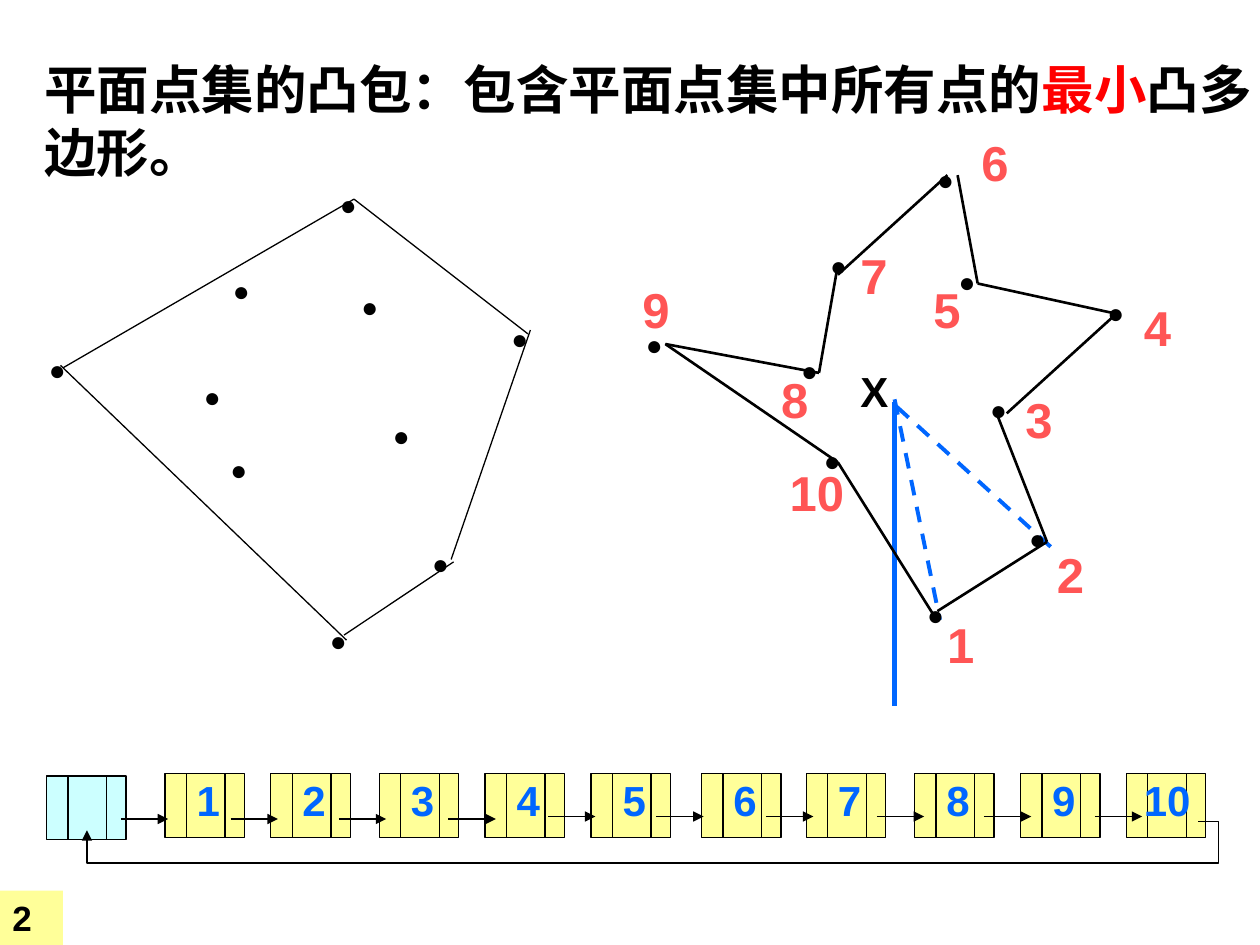
import pptx
import pptx.util
import pptx.dml.color
import pptx.enum.dml
import pptx.enum.shapes
import pptx.enum.text
import pptx.oxml
import pptx.oxml.ns

Pt = pptx.util.Pt
BLACK, RED, CORAL, BLUE = "000000", "FF0000", "FF5555", "0066FF"
YELLOW, CYAN = "FFFF99", "CCFFFF"

# Top-left corners of the dot boxes
HULL_DOTS = [
    (181.4, 352.8), (239.8, 308.9), (285.1, 180), (187.2, 103.7), (20.9, 198),
    (217.4, 235.4), (126, 152.6), (199.4, 162), (109.4, 213.1), (124.6, 254.9),
]
STAR_DOTS = [
    (362, 183.6), (450.7, 198.7), (467.3, 138.2), (528.5, 89.3), (540.7, 147.6),
    (625.7, 165.6), (522.7, 337.7), (581, 294.5), (558.7, 221), (463.7, 249.8),
]
# Label positions for star vertices 1 to 10
STAR_LABELS = [
    (534.2, 347.8), (596.9, 307.4), (578.9, 218.9), (646.6, 166.3), (526.3, 156.2),
    (553.7, 72), (484.6, 136.8), (439.2, 207.4), (360, 156.2), (444.2, 260.6),
]
HULL_CHAINS = [
    [(257.8, 319.7), (303.1, 188.6)],
    [(301.7, 190.8), (202.3, 113.8), (36, 210.2)],
    [(196.6, 362.9), (259.2, 321.1)],
    [(34.6, 208.8), (198, 365.8)],
]
STAR_CHAINS = [
    [(535.7, 349.2), (598.3, 309.6), (569.5, 236.2)],
    [(575.3, 236.2), (637.9, 179.3), (558.7, 162), (547.2, 100.1)],
    [(541.4, 100.1), (478.8, 157)],
    [(478.8, 151.2), (468, 213.1), (380.2, 196.6), (478.8, 264.2), (535.7, 355)],
]
CELL_LEFTS = [94.3, 154.8, 216.7, 277.2, 337.7, 401, 460.8, 522.7, 583.2, 643.7]
ARROW_LEFTS = [69.1, 131.8, 193.7, 256.3, 313.2, 375.1, 437.8, 501.1, 562.3, 625.7]
LOOP_POINTS = [(684.7, 469.4), (696.2, 469.4), (696.2, 493.2), (49.7, 493.2), (49.7, 474.5)]


def color(hex_text):
    return pptx.dml.color.RGBColor.from_string(hex_text)


def style_text(para, size, hex_text, bold=True):
    para.alignment = pptx.enum.text.PP_ALIGN.LEFT
    para.font.name = "Arial"
    para.font.size = Pt(size)
    para.font.bold = bold
    para.font.color.rgb = color(hex_text)


def add_text(page, text, left, top, width, height, size, hex_text, bold=True):
    box = page.shapes.add_textbox(Pt(left), Pt(top), Pt(width), Pt(height))
    box.text_frame.word_wrap = True
    para = box.text_frame.paragraphs[0]
    para.text = text
    style_text(para, size, hex_text, bold)


def add_arrowhead(shape):
    outline = shape.line._get_or_add_ln()
    outline.append(pptx.oxml.parse_xml(
        '<a:tailEnd %s type="triangle"/>' % pptx.oxml.ns.nsdecls("a")))


def add_line(page, start, end, width=0.75, hex_text=BLACK, dashed=False, arrow=False):
    line = page.shapes.add_connector(
        pptx.enum.shapes.MSO_CONNECTOR.STRAIGHT, *(Pt(value) for value in (*start, *end)))
    line.line.color.rgb = color(hex_text)
    line.line.width = Pt(width)
    if dashed:
        line.line.dash_style = pptx.enum.dml.MSO_LINE.DASH
    if arrow:
        add_arrowhead(line)
    line._element.spPr.append(pptx.oxml.parse_xml(
        "<a:effectLst %s/>" % pptx.oxml.ns.nsdecls("a")))


def add_chains(page, chains, width):
    for chain in chains:
        for start, end in zip(chain, chain[1:]):
            add_line(page, start, end, width)


def add_dots(page, corners):
    for left, top in corners:
        add_text(page, "●", left, top, 39, 27, 16, BLACK, bold=False)


def add_rectangle(page, left, top, width, height, fill, outlined=True):
    box = page.shapes.add_shape(
        pptx.enum.shapes.MSO_SHAPE.RECTANGLE, Pt(left), Pt(top), Pt(width), Pt(height))
    box.shadow.inherit = False
    box.fill.solid()
    box.fill.fore_color.rgb = color(fill)
    if outlined:
        box.line.color.rgb = color(BLACK)
        box.line.width = Pt(0.75)
    else:
        box.line.fill.background()
    return box


def add_list_node(page, left, top, fill, text=""):
    """Draw a three-part list node with an optional number."""
    add_rectangle(page, left, top, 45.4, 36.4, fill)
    for offset in (12.2, 34.3):
        add_line(page, (left + offset, top), (left + offset, top + 36.4))
    if text:
        indent = 11 if len(text) == 1 else 2.9
        add_text(page, text, left + indent, top - 2.9, 42, 36, 24, BLUE)


def add_return_arrow(page):
    points = [(Pt(x), Pt(y)) for x, y in LOOP_POINTS]
    builder = page.shapes.build_freeform(*points[0])
    builder.add_line_segments(points[1:], close=False)
    loop = builder.convert_to_shape()
    loop.shadow.inherit = False
    loop.fill.background()
    loop.line.color.rgb = color(BLACK)
    loop.line.width = Pt(0.75)
    add_arrowhead(loop)


def add_title(page):
    title = page.shapes.title
    title.left, title.top, title.width, title.height = Pt(18), Pt(28.8), Pt(721.4), Pt(79.2)
    frame = title.text_frame
    frame.word_wrap = True
    frame.auto_size = pptx.enum.text.MSO_AUTO_SIZE.NONE
    frame.vertical_anchor = pptx.enum.text.MSO_ANCHOR.TOP
    para = frame.paragraphs[0]
    style_text(para, 30, BLACK)
    for text, hex_text in [("平面点集的凸包：包含平面点集中所有点的", BLACK),
                           ("最小", RED), ("凸多边形。", BLACK)]:
        span = para.add_run()
        span.text = text
        span.font.color.rgb = color(hex_text)


def add_page_number(page):
    box = add_rectangle(page, 0, 509, 36, 31, YELLOW, outlined=False)
    box.text_frame.vertical_anchor = pptx.enum.text.MSO_ANCHOR.TOP
    para = box.text_frame.paragraphs[0]
    para.text = "2"
    style_text(para, 20, BLACK)


def main():
    deck = pptx.Presentation()
    deck.slide_width, deck.slide_height = Pt(720), Pt(540)
    page = deck.slides.add_slide(deck.slide_layouts[5])
    add_title(page)

    # Rays from the inner point X
    add_line(page, (511.2, 229.7), (511.2, 403.2), 3, BLUE)
    add_text(page, "X", 484.6, 205.2, 52.6, 36, 24, BLACK)
    add_line(page, (512.6, 232.6), (601.2, 313.2), 2.25, BLUE, dashed=True)
    add_line(page, (511.2, 228.2), (537.1, 354.2), 2.25, BLUE, dashed=True)

    # Star polygon with numbered vertices
    for number, (left, top) in enumerate(STAR_LABELS, 1):
        add_text(page, str(number), left, top, 40 if number < 10 else 52.6, 41, 28, CORAL)
    add_dots(page, STAR_DOTS)
    add_chains(page, STAR_CHAINS, 1.5)

    # Point set and its convex hull
    add_dots(page, HULL_DOTS)
    add_chains(page, HULL_CHAINS, 0.75)

    # Circular linked list
    add_list_node(page, 26.6, 443.5, CYAN)
    for number, left in enumerate(CELL_LEFTS, 1):
        add_list_node(page, left, 442.1, YELLOW, str(number))
    for index, left in enumerate(ARROW_LEFTS):
        level = 468 if index < 4 else 466.6
        add_line(page, (left, level), (left + 27, level), arrow=True)
    add_return_arrow(page)

    add_page_number(page)
    deck.save("out.pptx")


if __name__ == "__main__":
    main()
